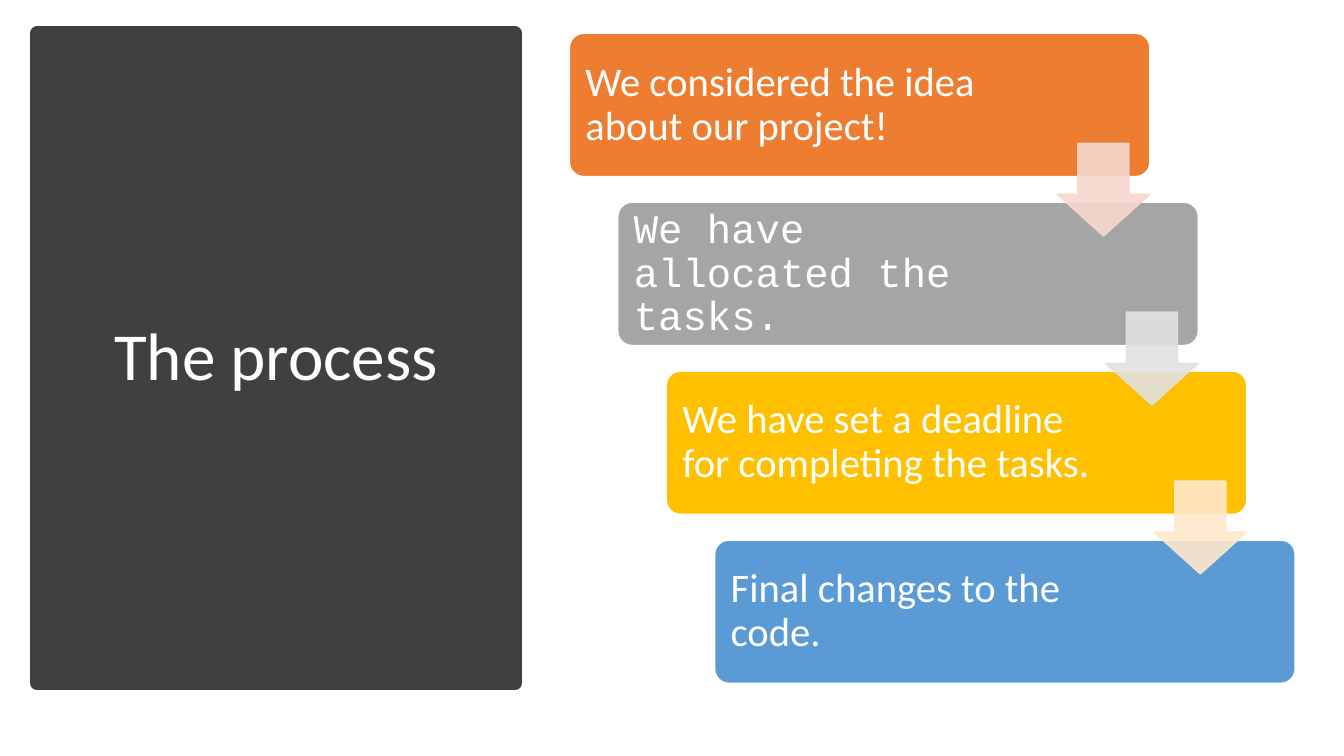
from lxml.etree import SubElement
from pptx import Presentation
from pptx.dml.color import RGBColor
from pptx.enum.shapes import MSO_SHAPE
from pptx.enum.text import MSO_ANCHOR, PP_ALIGN
from pptx.oxml.ns import qn
from pptx.util import Cm, Pt

WHITE = RGBColor(0xFF, 0xFF, 0xFF)
CHARCOAL = RGBColor(0x40, 0x40, 0x40)
ORANGE = RGBColor(0xED, 0x7D, 0x31)
GREY = RGBColor(0xA5, 0xA5, 0xA5)
GOLD = RGBColor(0xFF, 0xC0, 0x00)
BLUE = RGBColor(0x5B, 0x9B, 0xD5)
PALE_ORANGE = RGBColor(0xF8, 0xD7, 0xCE)
PALE_GREY = RGBColor(0xE1, 0xE1, 0xE1)
PALE_GOLD = RGBColor(0xFF, 0xE8, 0xCC)

# Wording, font, colour, colour of the arrow to the next step
STEPS = [
    ("We considered the idea about our project!", "Calibri", ORANGE, PALE_ORANGE),
    ("We have allocated the tasks.", "Courier New", GREY, PALE_GREY),
    ("We have set a deadline for completing the tasks.", "Calibri", GOLD, PALE_GOLD),
    ("Final changes to the code.", "Calibri", BLUE, None),
]
STEP_WIDTH, STEP_HEIGHT = Cm(14.63), Cm(3.61)
ARROW_SIZE, ARROW_DROP = Cm(2.34), Cm(2.77)


def add_block(page, kind, box, fill, line, line_width):
    block = page.shapes.add_shape(kind, *box)
    block.shadow.inherit = False
    block.fill.solid()
    block.fill.fore_color.rgb = fill
    block.line.color.rgb = line
    block.line.width = line_width
    return block


def write_text(block, text, font, size, align):
    frame = block.text_frame
    frame.word_wrap = True
    frame.vertical_anchor = MSO_ANCHOR.MIDDLE
    para = frame.paragraphs[0]
    para.text = text
    para.alignment = align
    para.line_spacing = 0.9
    para.font.name = font
    para.font.size = size
    para.font.color.rgb = WHITE


def set_opacity(block, percent):
    """Apply one opacity to both the fill and the outline."""
    for color in block._element.spPr.iter(qn("a:srgbClr")):
        SubElement(color, qn("a:alpha"), val=str(percent * 1000))


def add_title_panel(page, box):
    panel = add_block(page, MSO_SHAPE.RECTANGLE, box, CHARCOAL, CHARCOAL, Pt(10))
    write_text(panel, "The process", "Calibri", Pt(48), PP_ALIGN.CENTER)


def add_step(page, left, top, text, font, color):
    step = add_block(page, MSO_SHAPE.ROUNDED_RECTANGLE,
                     (left, top, STEP_WIDTH, STEP_HEIGHT), color, WHITE, Pt(1))
    step.adjustments[0] = 0.1
    write_text(step, text, font, Pt(29), PP_ALIGN.LEFT)
    frame = step.text_frame
    frame.margin_left = frame.margin_top = frame.margin_bottom = Cm(0.3)
    frame.margin_right = Cm(3.85)  # keeps the text clear of the arrow


def add_step_arrow(page, left, top, color):
    arrow = add_block(page, MSO_SHAPE.DOWN_ARROW,
                      (left, top, ARROW_SIZE, ARROW_SIZE), color, color, Pt(1))
    arrow.adjustments[0] = 0.55
    arrow.adjustments[1] = 0.45
    set_opacity(arrow, 90)


def add_staircase(page, box):
    """Spread the steps diagonally over the box, with arrows on top."""
    left, top, width, height = box
    gaps = len(STEPS) - 1
    places = [(left + (width - STEP_WIDTH) * i // gaps,
               top + (height - STEP_HEIGHT) * i // gaps)
              for i in range(len(STEPS))]
    for (x, y), (text, font, color, _) in zip(places, STEPS):
        add_step(page, x, y, text, font, color)
    for (x, y), (*_, arrow_color) in zip(places[:-1], STEPS):
        add_step_arrow(page, x + STEP_WIDTH - ARROW_SIZE, y + ARROW_DROP, arrow_color)


def main():
    deck = Presentation()
    deck.slide_width, deck.slide_height = Cm(33.87), Cm(19.05)
    page = deck.slides.add_slide(deck.slide_layouts[6])
    add_title_panel(page, (Cm(0.94), Cm(0.84), Cm(12.04), Cm(16.38)))
    add_staircase(page, (Cm(14.35), Cm(0.84), Cm(18.29), Cm(16.38)))
    deck.save("out.pptx")


if __name__ == "__main__":
    main()
